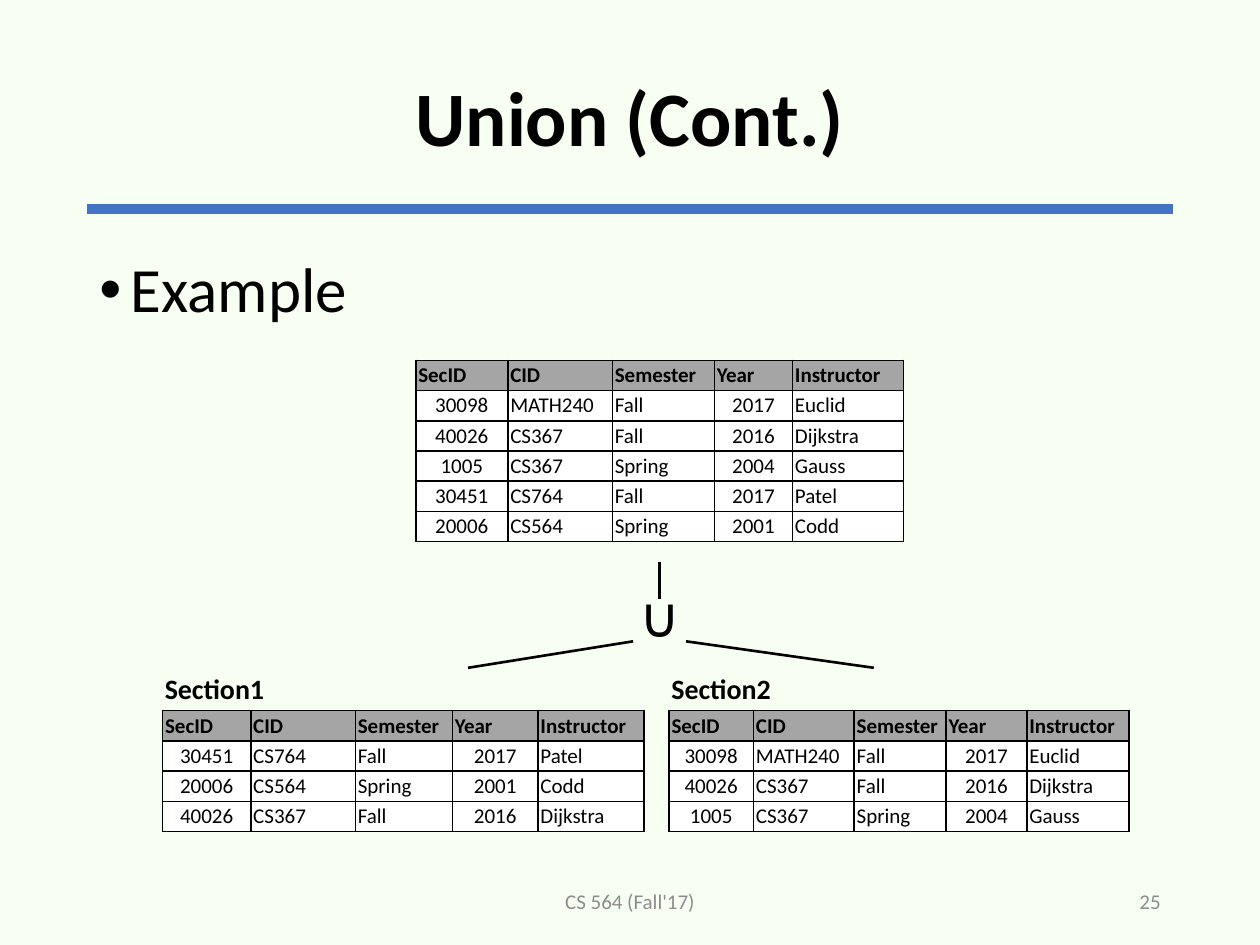
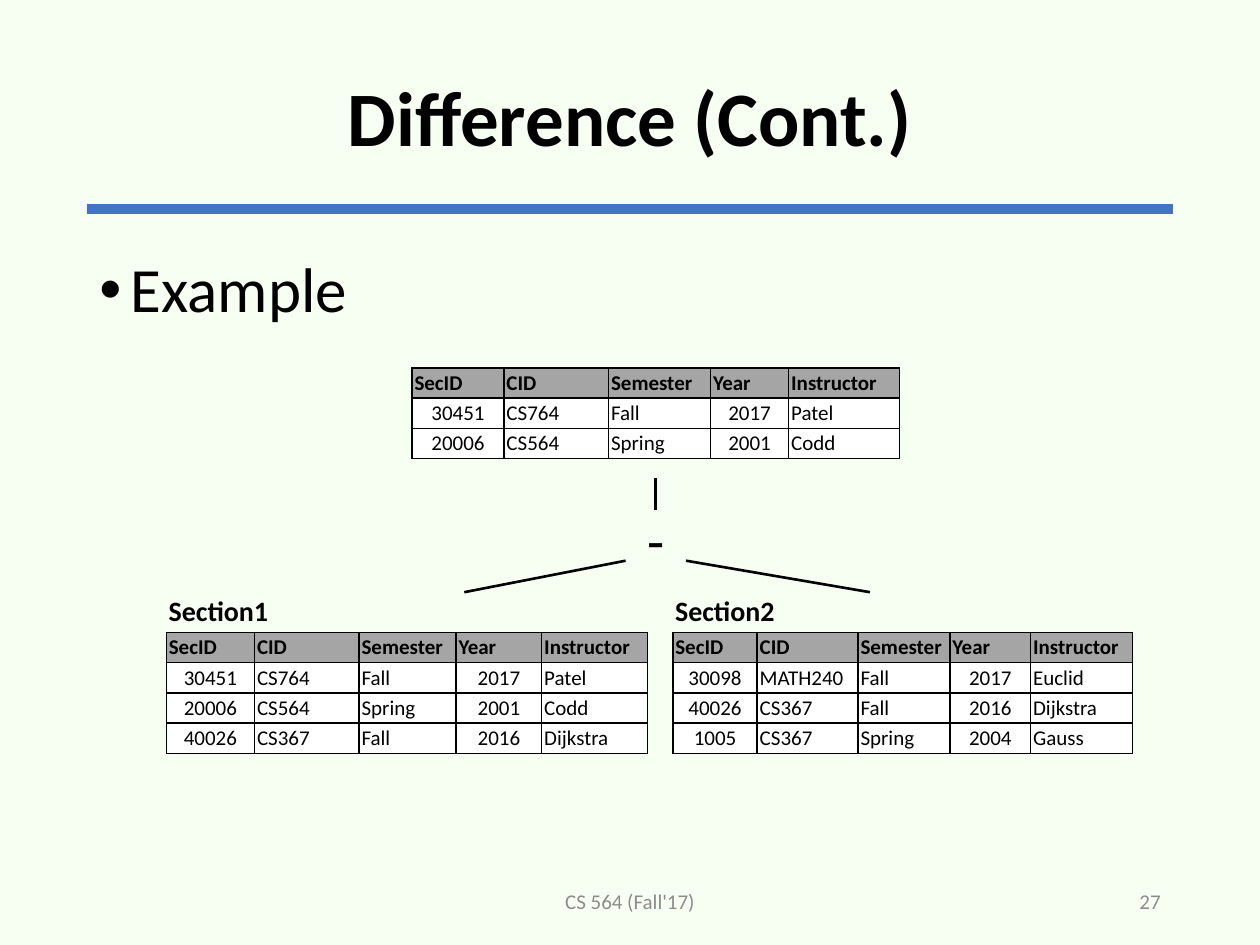
import pptx
import pptx.util
import pptx.dml.color
import pptx.enum.shapes
import pptx.enum.text
import pptx.oxml
import pptx.oxml.ns
import lxml.etree

RGBColor = pptx.dml.color.RGBColor
ALIGN = pptx.enum.text.PP_ALIGN
ANCHOR = pptx.enum.text.MSO_ANCHOR

FONT = "Calibri"
BLACK = RGBColor(0x00, 0x00, 0x00)
WHITE = RGBColor(0xFF, 0xFF, 0xFF)
PALE_GREEN = RGBColor(0xF7, 0xFF, 0xF3)
BLUE = RGBColor(0x44, 0x72, 0xC4)
HEADER_GRAY = RGBColor(0xA5, 0xA5, 0xA5)
FOOTER_GRAY = RGBColor(0x8C, 0x8C, 0x8C)

# The slide is a grid of 100 columns and 75 rows
SLIDE_WIDTH = pptx.util.Inches(10)
SLIDE_HEIGHT = pptx.util.Inches(7.5)
MARGIN, CONTENT_WIDTH = 6.9, 86.2
ROW_HEIGHT = 2.4

FIELDS = ("SecID", "CID", "Semester", "Year", "Instructor")
CENTERED_FIELDS = ("SecID", "Year")
SECTION1 = [
    ("30451", "CS764", "Fall", "2017", "Patel"),
    ("20006", "CS564", "Spring", "2001", "Codd"),
    ("40026", "CS367", "Fall", "2016", "Dijkstra"),
]
SECTION2 = [
    ("30098", "MATH240", "Fall", "2017", "Euclid"),
    ("40026", "CS367", "Fall", "2016", "Dijkstra"),
    ("1005", "CS367", "Spring", "2004", "Gauss"),
]
DIFFERENCE = [record for record in SECTION1 if record not in SECTION2]
UNION = SECTION2 + DIFFERENCE

SECTION1_WIDTHS = (7, 8.3, 7.7, 6.8, 8.4)
SECTION2_WIDTHS = (6.7, 8, 7.3, 6.4, 8.1)
RESULT_WIDTHS = (7.3, 8.3, 8.1, 6.2, 8.8)


def cols(count):
    return round(SLIDE_WIDTH * count / 100)


def rows(count):
    return round(SLIDE_HEIGHT * count / 75)


def place(left, top, width, height):
    return cols(left), rows(top), cols(width), rows(height)


def style(paragraph, size, color=BLACK, bold=False, align=ALIGN.LEFT):
    paragraph.alignment = align
    paragraph.font.name = FONT
    paragraph.font.size = pptx.util.Pt(size)
    paragraph.font.bold = bold
    paragraph.font.color.rgb = color


def add_text(slide, box, text, size, anchor=ANCHOR.TOP, wrap=True, **look):
    frame = slide.shapes.add_textbox(*place(*box)).text_frame
    frame.word_wrap = wrap
    frame.vertical_anchor = anchor
    frame.text = text
    style(frame.paragraphs[0], size, **look)
    return frame.paragraphs[0]


def add_line(slide, start, end, color=BLACK, width=1.5):
    line = slide.shapes.add_connector(
        pptx.enum.shapes.MSO_CONNECTOR.STRAIGHT,
        cols(start[0]), rows(start[1]), cols(end[0]), rows(end[1]))
    line.line.color.rgb = color
    line.line.width = pptx.util.Pt(width)
    lxml.etree.SubElement(line._element.spPr, pptx.oxml.ns.qn("a:effectLst"))


def add_borders(cell):
    properties = cell._tc.get_or_add_tcPr()
    for side in ("lnL", "lnR", "lnT", "lnB"):
        properties.append(pptx.oxml.parse_xml(
            f'<a:{side} {pptx.oxml.ns.nsdecls("a")} w="12700"><a:solidFill>'
            f'<a:srgbClr val="{BLACK}"/></a:solidFill></a:{side}>'))


def add_relation(slide, left, top, widths, records):
    lines = [FIELDS, *records]
    table = slide.shapes.add_table(
        len(lines), len(FIELDS),
        *place(left, top, sum(widths), ROW_HEIGHT * len(lines))).table
    table.first_row = table.horz_banding = False
    for column, width in zip(table.columns, widths):
        column.width = cols(width)
    for row_index, values in enumerate(lines):
        is_header = row_index == 0
        table.rows[row_index].height = rows(ROW_HEIGHT)
        for column_index, (field, value) in enumerate(zip(FIELDS, values)):
            cell = table.cell(row_index, column_index)
            cell.margin_left = cell.margin_right = cols(0.2)
            cell.margin_top = cell.margin_bottom = rows(0.2)
            add_borders(cell)
            cell.fill.solid()
            cell.fill.fore_color.rgb = HEADER_GRAY if is_header else WHITE
            cell.text = value
            centered = field in CENTERED_FIELDS and not is_header
            style(cell.text_frame.paragraphs[0], 12, bold=is_header,
                  align=ALIGN.CENTER if centered else ALIGN.LEFT)


def add_section(slide, left, top, name, widths, records):
    add_relation(slide, left, top, widths, records)
    add_text(slide, (left - 0.8, top - 3.6, 10.6, 3.7), name, 16,
             wrap=False, bold=True)


def add_operator(slide, center, top, width, symbol):
    operator = slide.shapes.add_shape(
        pptx.enum.shapes.MSO_SHAPE.OVAL,
        *place(center - width / 2, top, width, 4.6))
    operator.shadow.inherit = False
    operator.fill.background()
    operator.line.fill.background()
    frame = operator.text_frame
    frame.word_wrap = False
    frame.vertical_anchor = ANCHOR.MIDDLE
    frame.text = symbol
    style(frame.paragraphs[0], 32, align=ALIGN.CENTER)


def add_frame(slide, title, number):
    # Title and the band under it
    add_line(slide, (MARGIN, 16.6), (MARGIN + CONTENT_WIDTH, 16.6), BLUE, 6)
    heading = add_text(slide, (MARGIN, 2.4, CONTENT_WIDTH, 14.5), title, 44,
                       ANCHOR.MIDDLE, bold=True, align=ALIGN.CENTER)
    heading.line_spacing = 0.9

    # Footer
    add_text(slide, (33.1, 69.5, 33.8, 4), "CS 564 (Fall'17)", 12,
             ANCHOR.MIDDLE, color=FOOTER_GRAY, align=ALIGN.CENTER)
    add_text(slide, (70.6, 69.5, 22.5, 4), str(number), 12,
             ANCHOR.MIDDLE, color=FOOTER_GRAY, align=ALIGN.RIGHT)


def add_bullet(slide, text):
    frame = slide.shapes.add_textbox(
        *place(MARGIN, 20, CONTENT_WIDTH, 47.6)).text_frame
    frame.word_wrap = True
    frame.text = text
    paragraph = frame.paragraphs[0]
    properties = paragraph._p.get_or_add_pPr()
    properties.set("marL", str(cols(2.5)))
    properties.set("indent", str(-cols(2.5)))
    bullet_font = lxml.etree.SubElement(properties, pptx.oxml.ns.qn("a:buFont"))
    bullet_font.set("typeface", "Arial")
    bullet = lxml.etree.SubElement(properties, pptx.oxml.ns.qn("a:buChar"))
    bullet.set("char", "•")
    paragraph.line_spacing = 0.9
    style(paragraph, 36)


def add_operation_slide(deck, title, number, symbol, symbol_width, symbol_top,
                        result, result_at, sections_at, stem, branch, spread):
    slide = deck.slides.add_slide(deck.slide_layouts[6])
    add_frame(slide, title, number)
    add_bullet(slide, "Example")

    # Operand relations
    left, top = sections_at
    add_section(slide, left, top, "Section1", SECTION1_WIDTHS, SECTION1)
    add_section(slide, left + 40.2, top, "Section2", SECTION2_WIDTHS, SECTION2)

    # Result relation above its operator
    add_relation(slide, *result_at, RESULT_WIDTHS, result)
    center = result_at[0] + sum(RESULT_WIDTHS) / 2
    add_operator(slide, center, symbol_top, symbol_width, symbol)

    # Expression tree: stem up to the result, branches down to the operands
    add_line(slide, (center, stem[0]), (center, stem[1]))
    for near, far in ((-spread, -15.2), (spread, 17)):
        add_line(slide, (center + near, branch[0]), (center + far, branch[1]))


def main():
    deck = pptx.Presentation()
    deck.slide_width, deck.slide_height = SLIDE_WIDTH, SLIDE_HEIGHT
    background = deck.slide_master.background.fill
    background.solid()
    background.fore_color.rgb = PALE_GREEN

    add_operation_slide(
        deck, "Union (Cont.)", 25, "∪", symbol_width=14.5, symbol_top=46.5,
        result=UNION, result_at=(33, 28.6), sections_at=(12.9, 56.4),
        stem=(44.6, 47.5), branch=(50.9, 53), spread=2.1)
    add_operation_slide(
        deck, "Difference (Cont.)", 27, "-", symbol_width=6.9, symbol_top=40.5,
        result=DIFFERENCE, result_at=(32.7, 29.2), sections_at=(13.2, 50.2),
        stem=(37.9, 40.5), branch=(44.5, 47), spread=2.4)
    deck.save("out.pptx")


if __name__ == "__main__":
    main()
